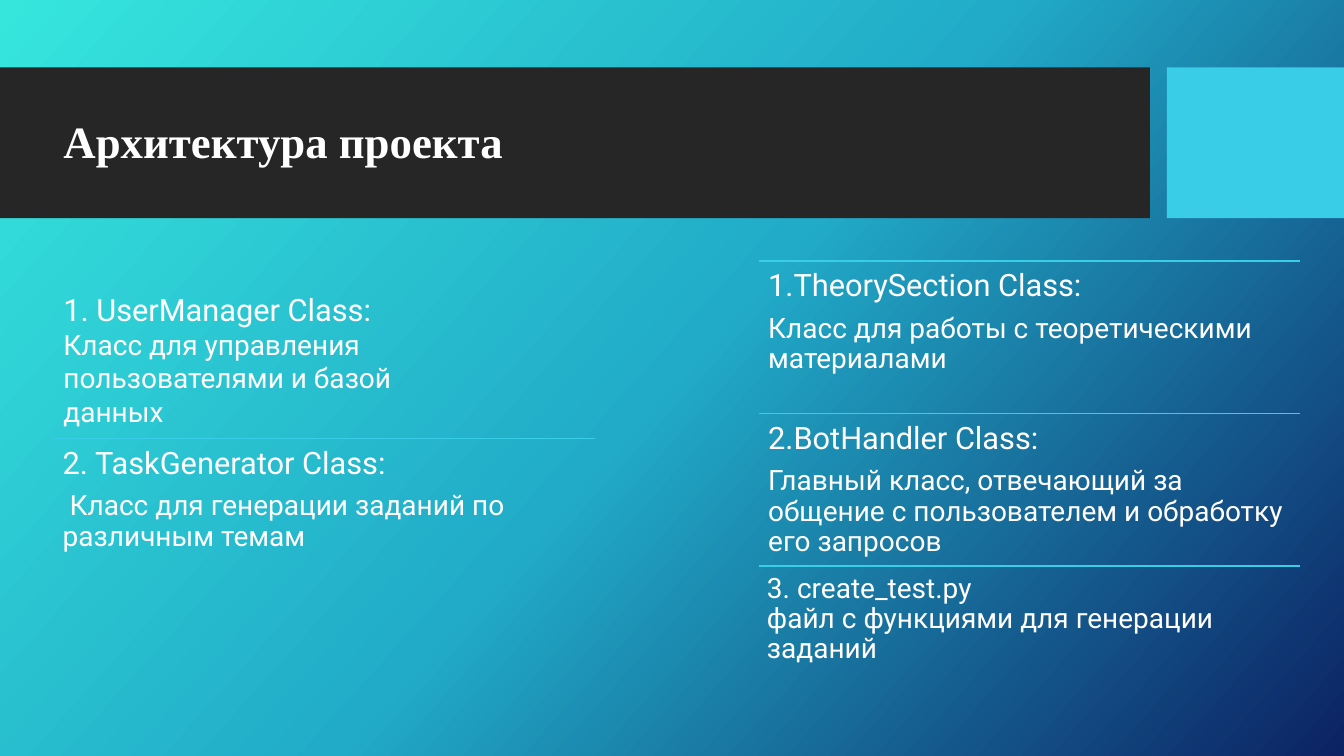
from copy import deepcopy

from lxml import etree
from pptx import Presentation
from pptx.dml.color import RGBColor
from pptx.enum.shapes import MSO_CONNECTOR, MSO_SHAPE
from pptx.enum.text import MSO_ANCHOR, MSO_AUTO_SIZE
from pptx.oxml.ns import qn
from pptx.util import Cm, Pt

RECTANGLE = MSO_SHAPE.RECTANGLE
STRAIGHT = MSO_CONNECTOR.STRAIGHT
MIDDLE = MSO_ANCHOR.MIDDLE
GROW = MSO_AUTO_SIZE.SHAPE_TO_FIT_TEXT

WHITE = RGBColor(0xFF, 0xFF, 0xFF)
CHARCOAL = RGBColor(0x26, 0x26, 0x26)
SKY = RGBColor(0x39, 0xCD, 0xE7)
TURQUOISE = RGBColor(0x36, 0xE6, 0xDD)
TEAL = RGBColor(0x21, 0xAB, 0xC8)
NAVY = RGBColor(0x0C, 0x22, 0x63)

LEFT = 1.35
RIGHT = 19.13
COLUMN_WIDTH = 13.64
RIGHT_TOP = 6.58
ROW_HEIGHT = 3.84

presentation = Presentation()
presentation.slide_width = Cm(33.87)
presentation.slide_height = Cm(19.05)
slide = presentation.slides.add_slide(presentation.slide_layouts[6])

background = slide.background.fill
background.gradient()
background.gradient_angle = 318
stop_list = slide.element.find(".//" + qn("a:gsLst"))
stop_list.insert(1, deepcopy(stop_list[0]))
for stop, color, position in zip(background.gradient_stops, (TURQUOISE, TEAL, NAVY), (0, 0.5, 1)):
    stop.color.rgb = color
    stop.position = position


def add_text(left, top, width, height, lines, font="Roboto", bold=False,
             inset=None, line_spacing=None, space_after=0):
    box = slide.shapes.add_textbox(Cm(left), Cm(top), Cm(width), Cm(height))
    frame = box.text_frame
    frame.word_wrap = True
    if inset is not None:
        frame.margin_left = frame.margin_right = Cm(inset)
        frame.margin_top = frame.margin_bottom = Cm(inset)
    for index, (text, size) in enumerate(lines):
        paragraph = frame.paragraphs[0] if index == 0 else frame.add_paragraph()
        paragraph.line_spacing = line_spacing
        paragraph.space_after = Pt(space_after)
        for part_index, part in enumerate(text.split("\n")):
            if part_index:
                paragraph.add_line_break()
            run = paragraph.add_run()
            run.text = part
            run.font.name = font
            run.font.size = Pt(size)
            run.font.bold = bold
            run.font.color.rgb = WHITE
    return frame


def add_section(left, top, height, lines, inset=0.23):
    divider = slide.shapes.add_connector(STRAIGHT, Cm(left), Cm(top), Cm(left + COLUMN_WIDTH), Cm(top))
    divider.line.color.rgb = SKY
    divider.line.width = Pt(1)
    etree.SubElement(divider.element.spPr, qn("a:effectLst"))
    add_text(left, top, COLUMN_WIDTH, height, lines, inset=inset, line_spacing=0.9, space_after=7.7)


for left, width, color in ((0, 28.98, CHARCOAL), (29.41, 4.46, SKY)):
    band = slide.shapes.add_shape(RECTANGLE, Cm(left), Cm(1.7), Cm(width), Cm(3.8))
    band.shadow.inherit = False
    band.fill.solid()
    band.fill.fore_color.rgb = color
    band.line.fill.background()

title = add_text(LEFT, 1.37, 15.29, 4.5, [("Архитектура проекта", 32)],
                 font="Times New Roman", bold=True, line_spacing=0.9)
title.vertical_anchor = MIDDLE

user_manager = add_text(LEFT, 7.19, 10.21, 3.76, [
    ("1. UserManager Class:", 22),
    ("Класс для управления пользователями и базой данных", 20),
])
user_manager.auto_size = GROW

right_sections = [
    ([("1.TheorySection Class:", 22),
      ("Класс для работы с теоретическими материалами", 20)], 0.23),
    ([("2.BotHandler Class:", 22),
      ("Главный класс, отвечающий за общение с пользователем и обработку его запросов", 20)], 0.23),
    ([("3. create_test.py\nфайл с функциями для генерации заданий", 20)], 0.2),
]
for row, (lines, inset) in enumerate(right_sections):
    add_section(RIGHT, RIGHT_TOP + row * ROW_HEIGHT, ROW_HEIGHT, lines, inset)

add_section(LEFT, 11.05, 7.29, [
    ("2. TaskGenerator Class:", 22),
    (" Класс для генерации заданий по различным темам", 20),
])

presentation.save("out.pptx")
